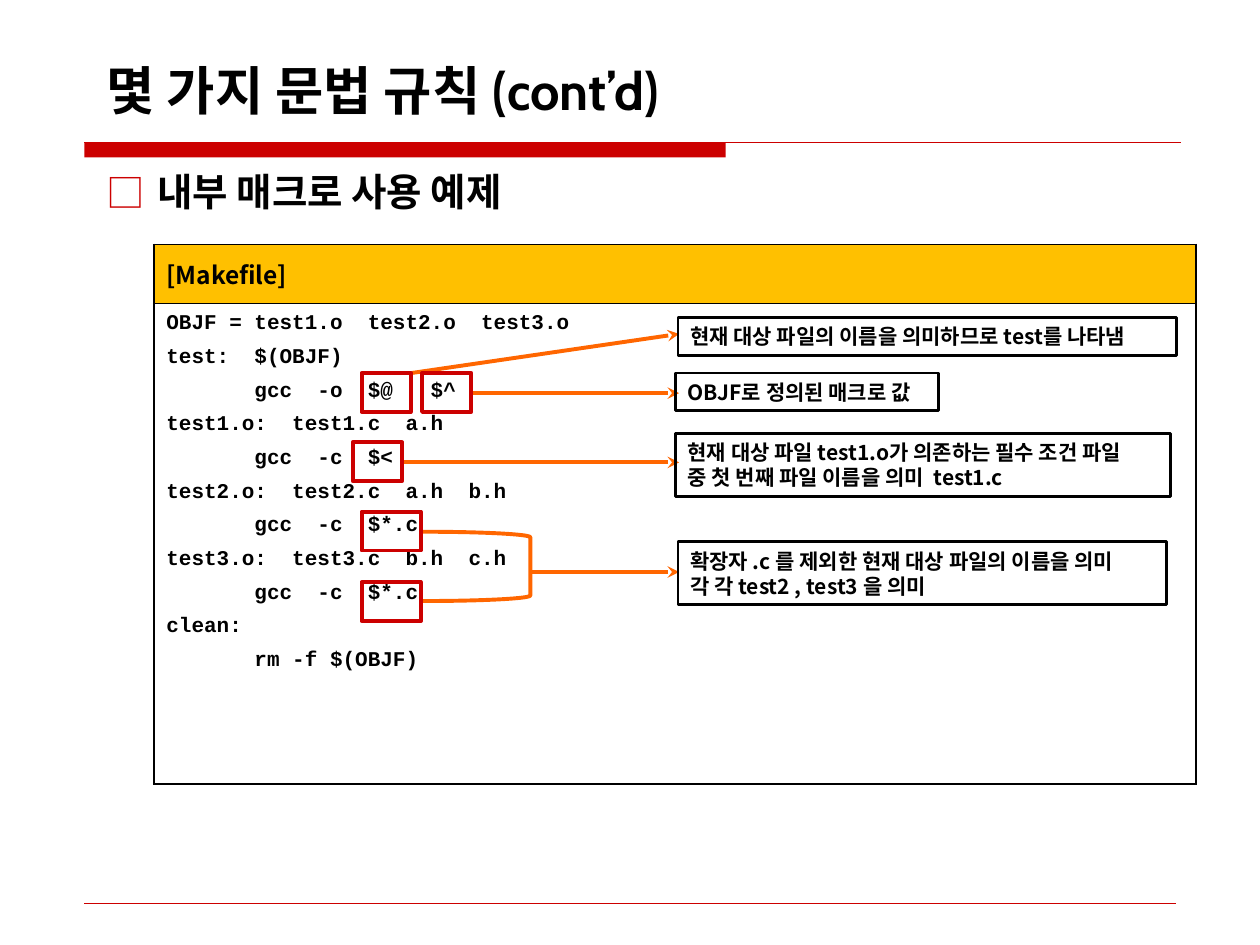
from lxml.etree import SubElement
from pptx import Presentation
from pptx.dml.color import RGBColor
from pptx.enum.shapes import MSO_CONNECTOR, MSO_SHAPE
from pptx.enum.text import MSO_ANCHOR, MSO_AUTO_SIZE, PP_ALIGN
from pptx.oxml import parse_xml
from pptx.oxml.ns import nsdecls, qn
from pptx.util import Inches, Pt

rgb = RGBColor.from_string
RED, ORANGE, GOLD, BLACK = "CC0000", "FF6600", "FFC000", "000000"
SANS, MONO = "Noto Sans CJK KR", "Courier New"
U = Inches(0.1)  # grid unit: the slide is 100 columns by 75 rows

prs = Presentation()
prs.slide_width, prs.slide_height = 100 * U, 75 * U
s = prs.slides.add_slide(prs.slide_layouts[6])


def box(kind, at, color, width, fill=None):
    """Add an outlined preset shape; at is left, top, width, height in grid units."""
    sp = s.shapes.add_shape(kind, *(round(v * U) for v in at))
    sp.shadow.inherit = False
    if fill:
        sp.fill.solid()
        sp.fill.fore_color.rgb = rgb(fill)
    else:
        sp.fill.background()
    if width:
        sp.line.color.rgb = rgb(color)
        sp.line.width = Pt(width)
    else:
        sp.line.fill.background()
    return sp


def line(ends, color, width, arrow=False):
    """Add a straight line; ends is x1, y1, x2, y2 in grid units."""
    c = s.shapes.add_connector(MSO_CONNECTOR.STRAIGHT, *(round(v * U) for v in ends))
    c.line.color.rgb = rgb(color)
    c.line.width = Pt(width)
    sp_pr = c.element.spPr
    if arrow:
        SubElement(sp_pr.find(qn("a:ln")), qn("a:tailEnd"), type="stealth")
    SubElement(sp_pr, qn("a:effectLst"))


# Header bar and footer rule
box(MSO_SHAPE.RECTANGLE, (6.7, 11.3, 50.9, 1.2), RED, 0, RED)
line((6.7, 11.3, 93.7, 11.3), RED, 0.75)
line((6.7, 71.7, 93.3, 71.7), RED, 0.25)

# Title and bullet; styled collects (text frame, size, font)
styled = []
headings = [
    ("몇 가지 문법 규칙 (cont’d)", (7.5, 2.8, 87.4, 7.3), 30, "Cabin", MSO_ANCHOR.BOTTOM),
    ("내부 매크로 사용 예제", (7.5, 12.1, 86.6, 56.9), 22, "Arial", MSO_ANCHOR.TOP),
]
for text, at, size, font, anchor in headings:
    tf = s.shapes.add_textbox(*(round(v * U) for v in at)).text_frame
    tf.word_wrap = True
    tf.vertical_anchor = anchor
    tf.text = text
    styled.append((tf, size, font))

bullet = tf.paragraphs[0]
bullet.line_spacing = 1.2
p_pr = bullet._p.get_or_add_pPr()
p_pr.set("marL", str(4 * U))
p_pr.set("indent", str(-4 * U))
SubElement(SubElement(p_pr, qn("a:buClr")), qn("a:srgbClr"), val=RED)
SubElement(p_pr, qn("a:buFont"), typeface=SANS)
SubElement(p_pr, qn("a:buChar"), char="□")

# Makefile table
MAKEFILE = """OBJF = test1.o  test2.o  test3.o
test:  $(OBJF)
       gcc  -o  $@   $^
test1.o:  test1.c  a.h
       gcc  -c  $<
test2.o:  test2.c  a.h  b.h
       gcc  -c  $*.c
test3.o:  test3.c  b.h  c.h
       gcc  -c  $*.c
clean:
       rm -f $(OBJF)"""
frame = s.shapes.add_table(2, 1, *(round(v * U) for v in (12.2, 19.4, 82.7, 42.8)))
table = frame.table
table.first_row = table.horz_banding = False
table.rows[0].height, table.rows[1].height = round(4.7 * U), round(38.1 * U)
head, code = table.cell(0, 0), table.cell(1, 0)
head.text, code.text = "[Makefile]", MAKEFILE
head.vertical_anchor = MSO_ANCHOR.MIDDLE
head.fill.solid()
head.fill.fore_color.rgb = rgb(GOLD)
code.fill.background()
styled += [(head.text_frame, 14, SANS), (code.text_frame, 12, MONO)]

for i, p in enumerate(code.text_frame.paragraphs):
    p.line_spacing = 1.2 if i else 1.1
    if i:
        p.space_before = Pt(3)
    p_pr = p._p.get_or_add_pPr()
    p_pr.set("marL", str(round(4.6 * U)))
    p_pr.set("indent", str(round(-4.6 * U)))

for cell, top, bottom in ((head, 1.08, 0.45), (code, 0.45, 1.08)):
    tc_pr = cell._tc.get_or_add_tcPr()
    for i, (side, width) in enumerate(zip("LRTB", (1.08, 1.08, top, bottom))):
        tc_pr.insert(i, parse_xml(
            f'<a:ln{side} {nsdecls("a")} w="{Pt(width)}"><a:solidFill>'
            f'<a:srgbClr val="{BLACK}"/></a:solidFill></a:ln{side}>'))

# Arrows from the macros to their notes
for ends in ((31.9, 36.7, 53.9, 36.7), (37.4, 31.2, 53.9, 31.2),
             (32.7, 29.6, 53.9, 26.5), (42.1, 45.4, 53.9, 45.4)):
    line(ends, ORANGE, 2.25, arrow=True)
bracket = box(MSO_SHAPE.RIGHT_BRACKET, (33.5, 42.2, 8.6, 5.5), ORANGE, 2.25)
bracket.adjustments[0] = 0.08

# Frames around the macros
for x, y, w in ((28.7, 29.6, 3.9), (33.5, 29.6, 3.9), (28, 35.1, 3.9),
                (28.7, 40.6, 4.7), (28.7, 46.2, 4.7)):
    box(MSO_SHAPE.RECTANGLE, (x, y, w, 3.1), RED, 2.25)

# Notes
notes = [
    ((53.8, 25.2, 39.6, 3), "현재 대상 파일의 이름을 의미하므로 test를 나타냄"),
    ((53.6, 29.6, 20.9, 3), "OBJF로 정의된 매크로 값"),
    ((53.6, 34.4, 39.3, 5), "현재 대상 파일 test1.o가 의존하는 필수 조건 파일\n"
                            "중 첫 번째 파일 이름을 의미  test1.c"),
    ((53.8, 43, 38.8, 5), "확장자 .c 를 제외한 현재 대상 파일의 이름을 의미\n"
                          "각 각 test2 , test3 을 의미"),
]
for at, text in notes:
    tf = box(MSO_SHAPE.RECTANGLE, at, BLACK, 1.5).text_frame
    tf.word_wrap = False
    tf.auto_size = MSO_AUTO_SIZE.SHAPE_TO_FIT_TEXT
    tf.text = text
    styled.append((tf, 12, SANS))

# Fonts
for tf, size, font in styled:
    for p in tf.paragraphs:
        p.alignment = PP_ALIGN.LEFT
        for r in p.runs:
            r.font.name, r.font.size, r.font.bold = font, Pt(size), True
            r.font.color.rgb = rgb(BLACK)
            SubElement(r._r.get_or_add_rPr(), qn("a:ea"), typeface=SANS)

prs.save("out.pptx")
